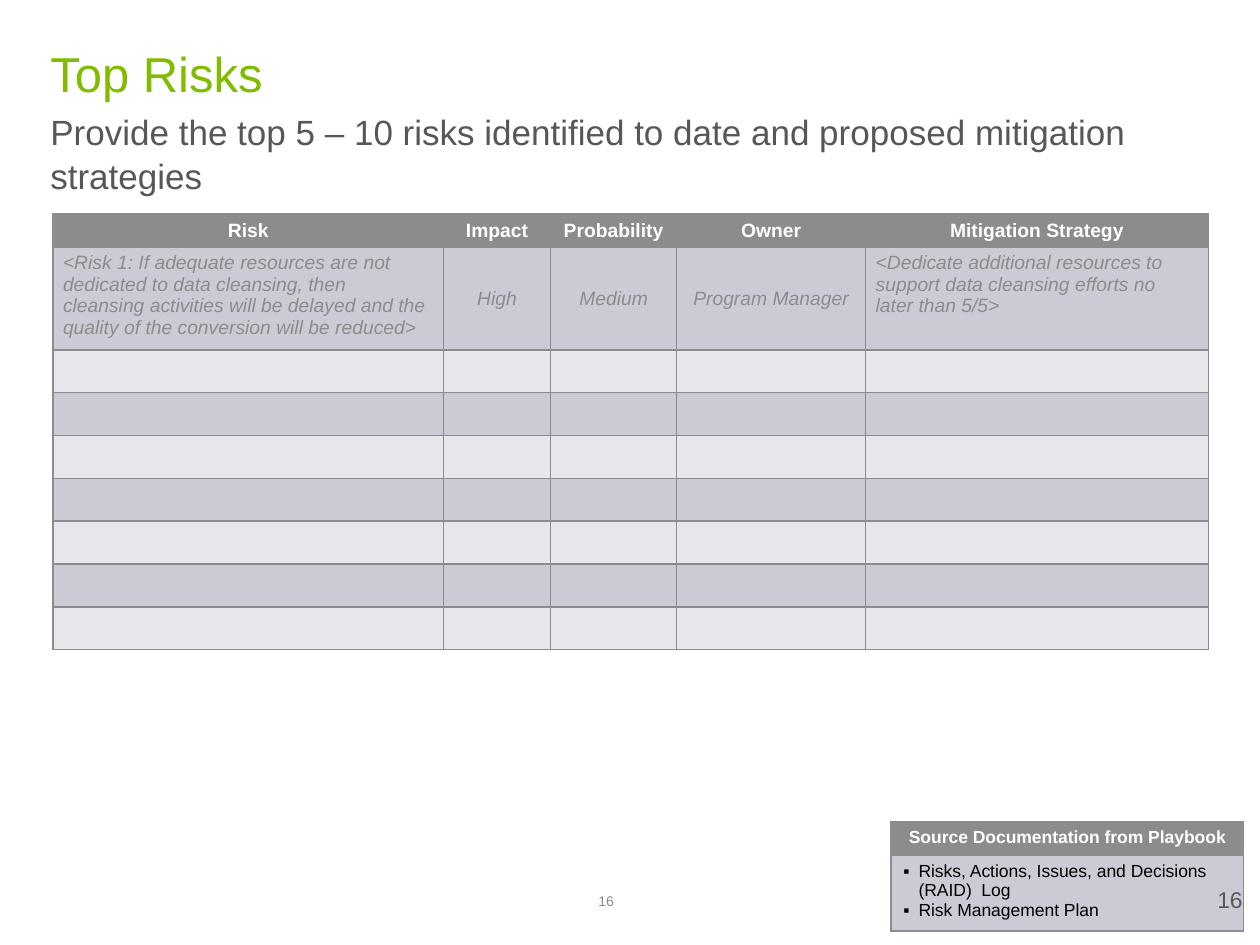
from dataclasses import dataclass

from lxml import etree
from pptx import Presentation
from pptx.dml.color import RGBColor
from pptx.enum.text import MSO_ANCHOR as Anchor, PP_ALIGN as Align
from pptx.oxml.ns import qn
from pptx.util import Inches, Pt


@dataclass(frozen=True)
class Theme:
    font: str = "Arial"
    green: str = "81BC00"
    text: str = "575757"
    gray: str = "8C8C8C"
    white: str = "FFFFFF"
    black: str = "000000"
    bands: tuple = ("CACBD5", "E6E7EB")
    title: int = 28
    subtitle: int = 20
    page: int = 13
    table: int = 11
    source: int = 10
    footer: int = 8


THEME = Theme()


class SlideBuilder:
    def __init__(self, slide, theme):
        self.slide = slide
        self.theme = theme

    def format_runs(self, paragraph, size, color, bold=False, italic=False):
        for run in paragraph.runs:
            font = run.font
            font.name, font.size = self.theme.font, Pt(size)
            font.bold, font.italic = bold, italic
            font.color.rgb = RGBColor.from_string(color)

    def text(self, box, text, size, color, align=Align.LEFT, anchor=Anchor.TOP,
             inset=0, spacing=1.0):
        shape = self.slide.shapes.add_textbox(*map(Inches, box))
        frame = shape.text_frame
        frame.word_wrap = True
        frame.vertical_anchor = anchor
        frame.margin_left = frame.margin_right = Inches(inset)
        frame.margin_top = frame.margin_bottom = Inches(inset)
        frame.text = text
        paragraph = frame.paragraphs[0]
        paragraph.alignment = align
        paragraph.line_spacing = spacing
        self.format_runs(paragraph, size, color)

    def table(self, left, top, widths, heights):
        table = self.slide.shapes.add_table(
            len(heights), len(widths), Inches(left), Inches(top),
            Inches(sum(widths)), Inches(sum(heights))).table
        for column, width in zip(table.columns, widths):
            column.width = Inches(width)
        for row, height in zip(table.rows, heights):
            row.height = Inches(height)
        return table

    def cell(self, cell, text, fill, size, color, align=Align.LEFT,
             anchor=Anchor.TOP, insets=(0.08, 0.04), bold=False, italic=False):
        cell.margin_left = cell.margin_right = Inches(insets[0])
        cell.margin_top = cell.margin_bottom = Inches(insets[1])
        cell.vertical_anchor = anchor
        cell.text_frame.text = text
        for paragraph in cell.text_frame.paragraphs:
            paragraph.alignment = align
            self.format_runs(paragraph, size, color, bold, italic)
            if not paragraph.runs:  # keeps empty rows at their set height
                etree.SubElement(paragraph._p, qn("a:endParaRPr"), sz=str(size * 100))
        self.borders(cell)
        cell.fill.solid()
        cell.fill.fore_color.rgb = RGBColor.from_string(fill)

    def borders(self, cell):
        properties = cell._tc.get_or_add_tcPr()
        for side in ("lnL", "lnR", "lnT", "lnB"):
            line = etree.SubElement(properties, qn(f"a:{side}"), w=str(Pt(1)))
            solid = etree.SubElement(line, qn("a:solidFill"))
            etree.SubElement(solid, qn("a:srgbClr"), val=self.theme.gray)

    def bullets(self, cell, indent, color):
        for paragraph in cell.text_frame.paragraphs:
            properties = paragraph._p.get_or_add_pPr()
            properties.set("marL", str(Inches(indent)))
            properties.set("indent", str(-Inches(indent)))
            bullet_color = etree.SubElement(properties, qn("a:buClr"))
            etree.SubElement(bullet_color, qn("a:srgbClr"), val=color)
            etree.SubElement(properties, qn("a:buFont"), typeface=self.theme.font)
            etree.SubElement(properties, qn("a:buChar"), char="▪")


HEADERS = ["Risk", "Impact", "Probability", "Owner", "Mitigation Strategy"]
EXAMPLE = [
    "<Risk 1: If adequate resources are not dedicated to data cleansing, then cleansing "
    "activities will be delayed and the quality of the conversion will be reduced>",
    "High", "Medium", "Program Manager",
    "<Dedicate additional resources to support data cleansing efforts no later than 5/5>",
]
EMPTY_ROWS = 7
CENTERED_COLUMNS = (1, 2, 3)


def main():
    presentation = Presentation()
    presentation.slide_width, presentation.slide_height = Inches(10), Inches(7.5)
    slide = presentation.slides.add_slide(presentation.slide_layouts[6])
    builder = SlideBuilder(slide, THEME)

    # Footer number and headings
    builder.text((4.75, 7.09, 0.5, 0.13), "16", THEME.footer, THEME.gray,
                 anchor=Anchor.BOTTOM)
    builder.text((0.4, 0.86, 9.2, 0.83),
                 "Provide the top 5 – 10 risks identified to date and proposed "
                 "mitigation strategies", THEME.subtitle, THEME.text, spacing=1.05)
    builder.text((0.4, 0.32, 9.2, 0.51), "Top Risks", THEME.title, THEME.green,
                 spacing=1.05)

    # Risk table
    risks = builder.table(0.42, 1.7, [3.1, 0.85, 1, 1.5, 2.72],
                          [0.25, 0.75] + [0.34] * EMPTY_ROWS)
    for column, header in enumerate(HEADERS):
        builder.cell(risks.cell(0, column), header, THEME.gray, THEME.table,
                     THEME.white, Align.CENTER, Anchor.MIDDLE, bold=True)
    body = [EXAMPLE] + [[""] * len(HEADERS)] * EMPTY_ROWS
    for row, texts in enumerate(body):
        for column, text in enumerate(texts):
            centered = column in CENTERED_COLUMNS
            builder.cell(risks.cell(row + 1, column), text, THEME.bands[row % 2],
                         THEME.table, THEME.gray,
                         Align.CENTER if centered else Align.LEFT,
                         Anchor.MIDDLE if centered else Anchor.TOP, italic=True)

    # Source documentation
    sources = builder.table(7.07, 6.52, [2.8], [0.26, 0.57])
    builder.cell(sources.cell(0, 0), "Source Documentation from Playbook", THEME.gray,
                 THEME.source, THEME.white, Align.CENTER, insets=(0.1, 0.05), bold=True)
    documents = sources.cell(1, 0)
    builder.cell(documents, "Risks, Actions, Issues, and Decisions (RAID)  Log\n"
                 "Risk Management Plan", THEME.bands[0], THEME.source, THEME.black,
                 insets=(0.1, 0.05))
    builder.bullets(documents, 0.12, THEME.black)

    # Page number
    builder.text((9.36, 6.93, 0.6, 0.57), "16", THEME.page, THEME.text, Align.RIGHT,
                 inset=0.1)

    presentation.save("out.pptx")


if __name__ == "__main__":
    main()
